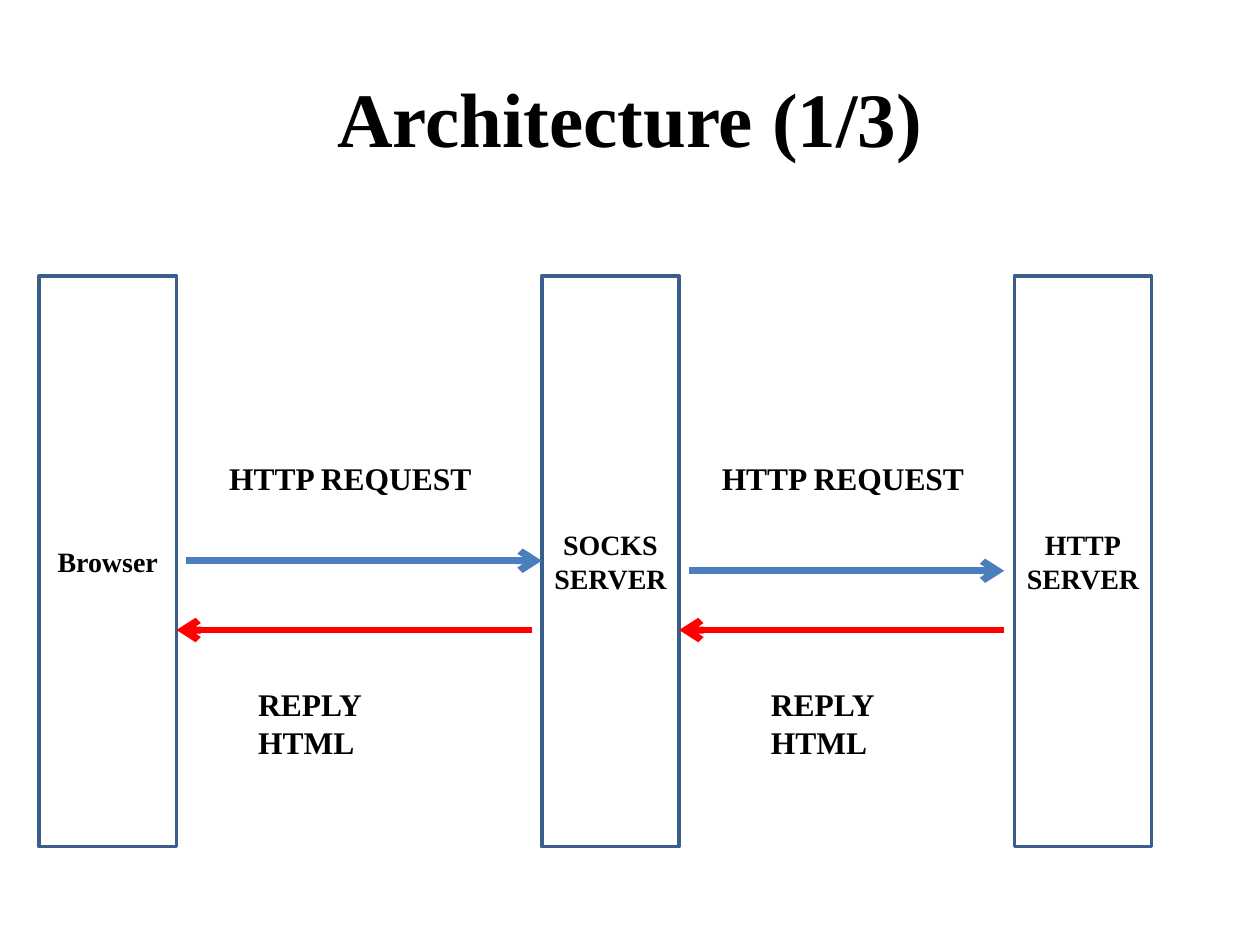
import pptx
import pptx.dml.color
import pptx.enum.shapes
import pptx.enum.text
import pptx.oxml
import pptx.oxml.ns
import pptx.util

Inches, Pt = pptx.util.Inches, pptx.util.Pt
ALIGN = pptx.enum.text.PP_ALIGN
ANCHOR = pptx.enum.text.MSO_ANCHOR

THEME = {
    "font": "Times New Roman",
    "text": "000000", "outline": "3A5F8C", "request": "4B7EBC", "reply": "FF0000",
    "title_size": 44, "label_size": 18, "node_size": 16,
    "outline_width": 2, "arrow_width": 4,
}

TITLE = ["Architecture (1/3)"]
# Left edge and lines of text of each column
NODES = [
    (0.31, ["Browser"]),
    (4.30, ["SOCKS", "SERVER"]),
    (8.05, ["HTTP", "SERVER"]),
]
NODE_TOP, NODE_WIDTH, NODE_HEIGHT = 2.19, 1.09, 4.53
GAP = 0.08
REQUEST, REPLY = ["HTTP REQUEST"], ["REPLY", "HTML"]
REQUEST_TOP, REPLY_TOP, REPLY_ARROW_Y = 3.59, 5.39, 5.0
# Per exchange: request arrow height, gap before its head, left of both labels
EXCHANGES = [
    (4.45, 0, 1.72, 1.95),
    (4.53, GAP, 5.63, 6.02),
]
LABEL_WIDTH, LINE_HEIGHT = 3.59, 0.31


def color(name):
    return pptx.dml.color.RGBColor.from_string(THEME[name])


def write(box, lines, size, align, anchor):
    frame = box.text_frame
    frame.word_wrap = True
    frame.vertical_anchor = anchor
    for index, line in enumerate(lines):
        para = frame.paragraphs[0] if index == 0 else frame.add_paragraph()
        para.alignment = align
        span = para.add_run()
        span.text = line
        span.font.name = THEME["font"]
        span.font.size = Pt(THEME[size])
        span.font.bold = True
        span.font.color.rgb = color("text")


def add_text(page, place, lines, size, align=ALIGN.LEFT, anchor=ANCHOR.TOP):
    box = page.shapes.add_textbox(*map(Inches, place))
    write(box, lines, size, align, anchor)


def add_label(page, left, top, lines):
    height = LINE_HEIGHT * len(lines) + 0.1
    add_text(page, (left, top, LABEL_WIDTH, height), lines, "label_size")


def add_node(page, left, lines):
    box = page.shapes.add_shape(
        pptx.enum.shapes.MSO_SHAPE.RECTANGLE,
        *map(Inches, (left, NODE_TOP, NODE_WIDTH, NODE_HEIGHT)))
    box.shadow.inherit = False
    box.fill.background()
    box.line.color.rgb = color("outline")
    box.line.width = Pt(THEME["outline_width"])
    write(box, lines, "node_size", ALIGN.CENTER, ANCHOR.MIDDLE)


def add_arrow(page, start, end, y, tint):
    arrow = page.shapes.add_connector(
        pptx.enum.shapes.MSO_CONNECTOR.STRAIGHT, *map(Inches, (start, y, end, y)))
    arrow.line.color.rgb = color(tint)
    arrow.line.width = Pt(THEME["arrow_width"])
    head = pptx.oxml.parse_xml(
        f'<a:tailEnd {pptx.oxml.ns.nsdecls("a")} type="arrow"/>')
    arrow.line._get_or_add_ln().append(head)
    properties = arrow._element.spPr
    properties.append(pptx.oxml.parse_xml(
        f'<a:effectLst {pptx.oxml.ns.nsdecls("a")}/>'))


def main():
    deck = pptx.Presentation()
    deck.slide_width, deck.slide_height = Inches(10), Inches(7.5)
    page = deck.slides.add_slide(deck.slide_layouts[6])

    add_text(page, (0.5, 0.3, 9, 1.25), TITLE, "title_size",
             ALIGN.CENTER, ANCHOR.MIDDLE)
    for left, lines in NODES:
        add_node(page, left, lines)

    for (client, _), (server, _), exchange in zip(NODES, NODES[1:], EXCHANGES):
        request_y, head_gap, request_left, reply_left = exchange
        edge = client + NODE_WIDTH
        add_arrow(page, edge + GAP, server - head_gap, request_y, "request")
        add_arrow(page, server - GAP, edge, REPLY_ARROW_Y, "reply")
        add_label(page, request_left, REQUEST_TOP, REQUEST)
        add_label(page, reply_left, REPLY_TOP, REPLY)

    deck.save("out.pptx")


if __name__ == "__main__":
    main()
